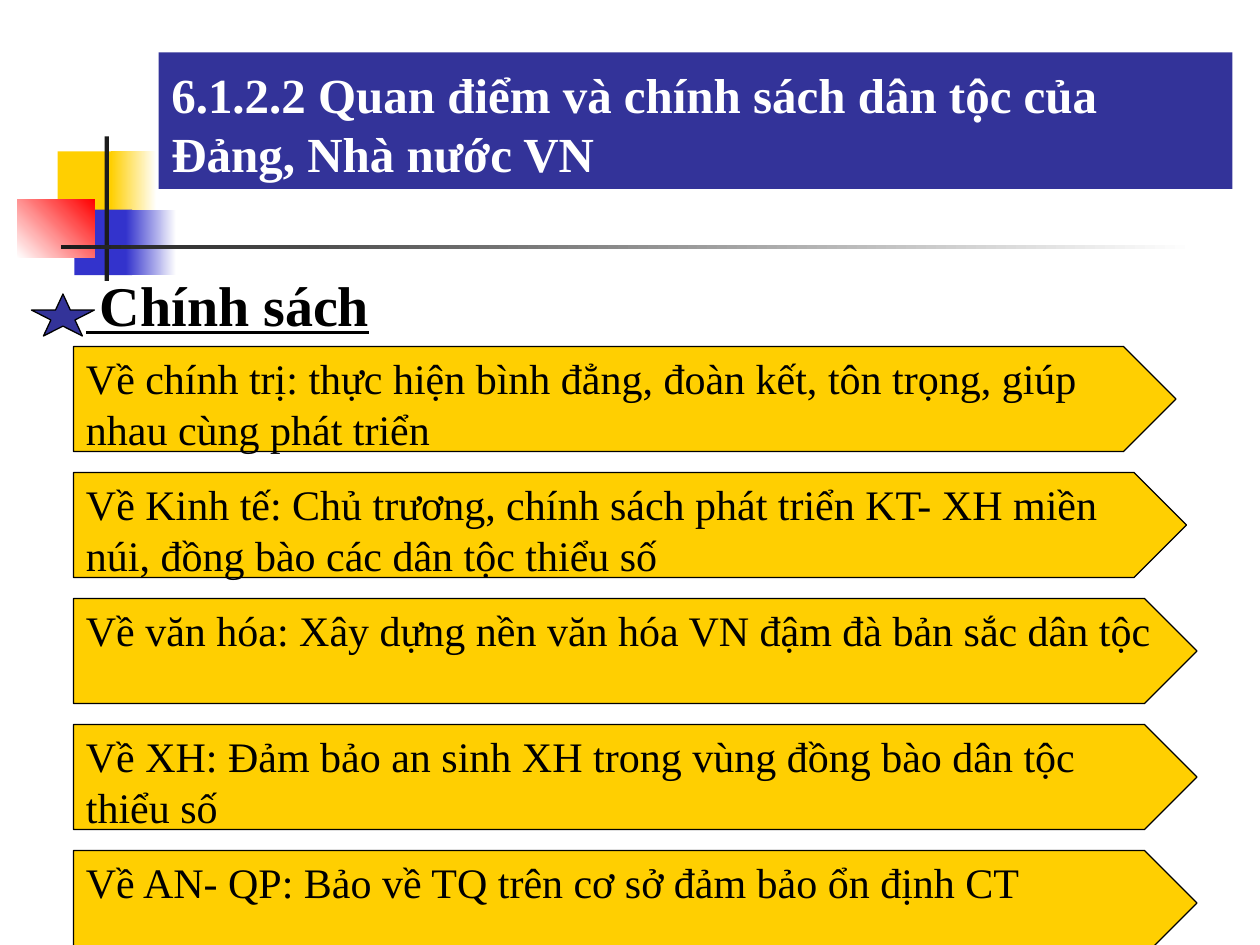
"""Build the slide on ethnic policy: a title, a starred heading and five policy arrows."""
from pptx import Presentation
from pptx.dml.color import RGBColor
from pptx.enum.shapes import MSO_SHAPE as Shape
from pptx.enum.text import MSO_ANCHOR as Anchor, MSO_AUTO_SIZE as AutoSize, PP_ALIGN as Align
from pptx.util import Pt

FONT = "Times New Roman"
BLACK = RGBColor(0x00, 0x00, 0x00)
WHITE = RGBColor(0xFF, 0xFF, 0xFF)
GOLD = RGBColor(0xFF, 0xCF, 0x01)
BLUE = RGBColor(0x33, 0x33, 0xCC)
NAVY = RGBColor(0x33, 0x33, 0x99)
RED = RGBColor(0xFF, 0x00, 0x00)
CHARCOAL = RGBColor(0x1C, 0x1C, 0x1C)

TITLE = "6.1.2.2 Quan điểm và chính sách dân tộc của Đảng, Nhà nước VN"
HEADING = " Chính sách"
POLICIES = [
    ("Về chính trị: thực hiện bình đẳng, đoàn kết, tôn trọng, giúp nhau cùng phát triển", 630),
    ("Về Kinh tế: Chủ trương, chính sách phát triển KT- XH miền núi, "
     "đồng bào các dân tộc thiểu số", 636),
    ("Về văn hóa: Xây dựng nền văn hóa VN đậm đà bản sắc dân tộc", 642),
    ("Về XH: Đảm bảo an sinh XH trong vùng đồng bào dân tộc thiểu số", 642),
    ("Về AN- QP: Bảo về TQ trên cơ sở đảm bảo ổn định CT", 642),
]
ORNAMENTS = [
    ((33, 86.5, 34.5, 37.5), [GOLD], 0),
    ((63.4, 86.5, 26, 37.5), [GOLD, WHITE], 0),
    ((42.5, 119.8, 33, 37.4), [BLUE], 0),
    ((72, 119.8, 28.8, 37.4), [BLUE, WHITE], 0),
    ((9.8, 113.8, 44.3, 33.4), [WHITE, RED], 45),
    ((59.8, 78, 2.5, 82.5), [CHARCOAL], 0),
    ((34.8, 140, 648, 2.5), [CHARCOAL, WHITE], 0),
]
LEFT, ARROW_TOP, ARROW_HEIGHT, ARROW_STEP = 42, 198, 60, 72


def points(*lengths):
    return [Pt(length) for length in lengths]


def paint(shape, colours, angle=0):
    if len(colours) == 1:
        shape.fill.solid()
        shape.fill.fore_color.rgb = colours[0]
        return
    shape.fill.gradient()
    shape.fill.gradient_angle = angle
    for stop, colour in zip(shape.fill.gradient_stops, colours):
        stop.color.rgb = colour


def add_figure(slide, kind, box, colours, angle=0, outlined=True):
    figure = slide.shapes.add_shape(kind, *points(*box))
    figure.shadow.inherit = False
    paint(figure, colours, angle)
    if outlined:
        figure.line.color.rgb = BLACK
        figure.line.width = Pt(0.75)
    else:
        figure.line.fill.background()
    return figure


def write(shape, text, size, colour, anchor=Anchor.TOP, bold=False, underline=False):
    frame = shape.text_frame
    frame.word_wrap = True
    frame.auto_size = AutoSize.NONE
    frame.vertical_anchor = anchor
    paragraph = frame.paragraphs[0]
    paragraph.alignment = Align.LEFT
    run = paragraph.add_run()
    run.text = text
    font = run.font
    font.name, font.size, font.bold, font.underline = FONT, Pt(size), bold, underline
    font.color.rgb = colour


def main():
    deck = Presentation()
    deck.slide_width, deck.slide_height = points(720, 540)
    slide = deck.slides.add_slide(deck.slide_layouts[5])

    for box, colours, angle in ORNAMENTS:
        add_figure(slide, Shape.RECTANGLE, box, colours, angle, outlined=False)

    title = slide.shapes.title
    title.left, title.top, title.width, title.height = points(90.7, 30, 613.5, 78)
    paint(title, [NAVY])
    write(title, TITLE, 28, WHITE, Anchor.BOTTOM, bold=True)

    heading = slide.shapes.add_textbox(*points(LEFT, 151, 663, 45))
    write(heading, HEADING, 32, BLACK, bold=True, underline=True)
    add_figure(slide, Shape.STAR_5_POINT, (18, 168, 36, 24), [NAVY])

    for row, (policy, width) in enumerate(POLICIES):
        box = (LEFT, ARROW_TOP + row * ARROW_STEP, width, ARROW_HEIGHT)
        arrow = add_figure(slide, Shape.PENTAGON, box, [GOLD])
        write(arrow, policy, 24, BLACK)

    deck.save("out.pptx")


if __name__ == "__main__":
    main()
